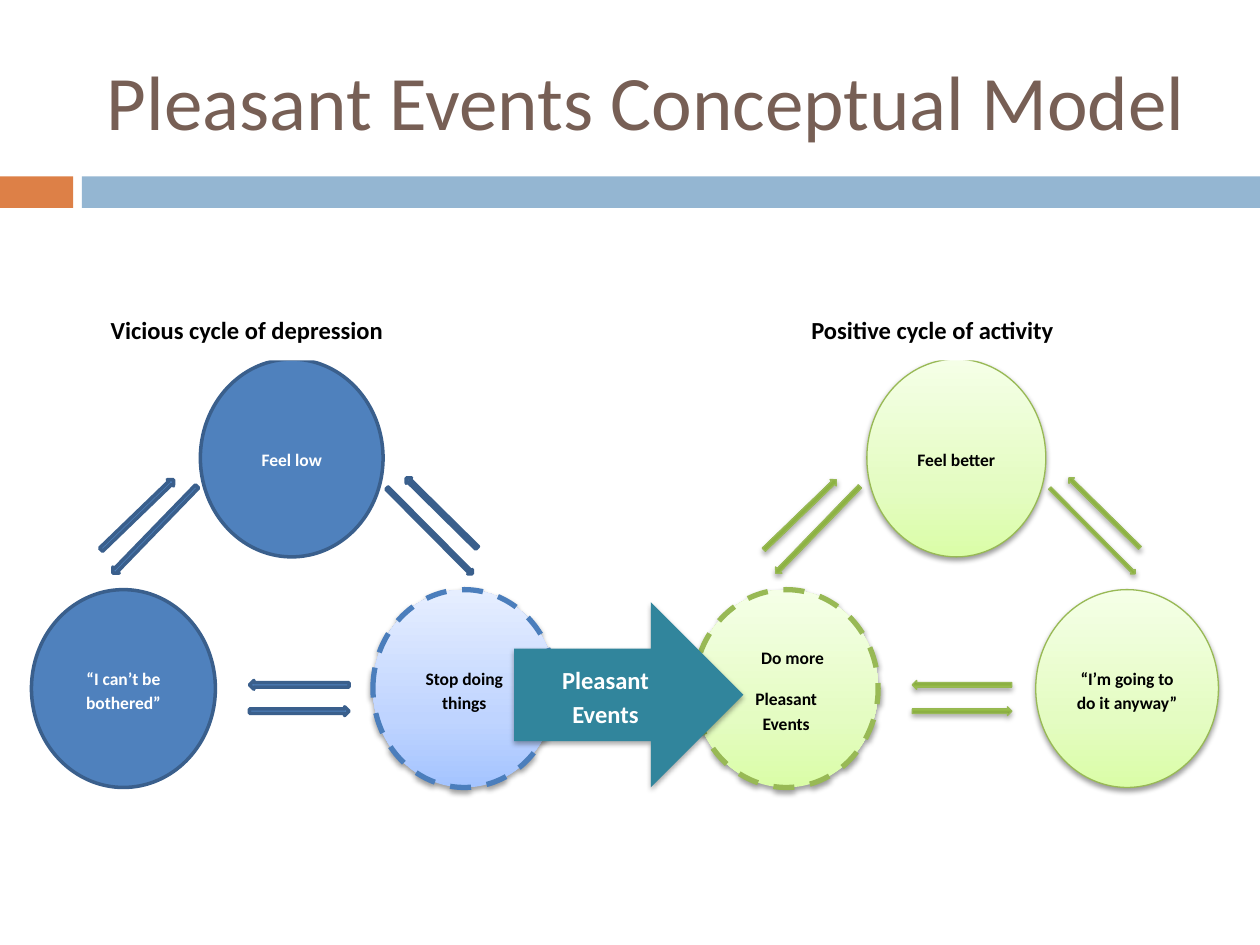
"""Build the Pleasant Events conceptual model slide."""
from dataclasses import dataclass, replace
from typing import NamedTuple, Optional

from lxml.etree import SubElement
from pptx import Presentation
from pptx.dml.color import RGBColor
from pptx.enum.dml import MSO_LINE
from pptx.enum.shapes import MSO_SHAPE
from pptx.enum.text import MSO_ANCHOR, PP_ALIGN
from pptx.oxml.ns import qn
from pptx.util import Inches, Pt

FONT = "Calibri"
BLACK = RGBColor(0x00, 0x00, 0x00)
WHITE = RGBColor(0xFF, 0xFF, 0xFF)
BROWN = RGBColor(0x77, 0x5F, 0x55)
ORANGE = RGBColor(0xDD, 0x80, 0x47)
PALE_BLUE = RGBColor(0x94, 0xB6, 0xD2)
BLUE = RGBColor(0x4F, 0x81, 0xBD)
DARK_BLUE = RGBColor(0x3A, 0x5F, 0x8C)
DASH_BLUE = RGBColor(0x4B, 0x7E, 0xBC)
GREEN = RGBColor(0x98, 0xB9, 0x55)
TEAL = RGBColor(0x31, 0x85, 0x9C)
SKY_STOPS = ((0, RGBColor(0xA4, 0xC4, 0xFF)), (35, RGBColor(0xBF, 0xD4, 0xFF)),
             (100, RGBColor(0xE6, 0xEE, 0xFF)))
LIME_STOPS = ((0, RGBColor(0xDA, 0xFD, 0xA7)), (35, RGBColor(0xE4, 0xFC, 0xC2)),
              (100, RGBColor(0xF5, 0xFF, 0xE7)))
LEAF_STOPS = ((0, RGBColor(0x77, 0x97, 0x37)), (80, RGBColor(0x9B, 0xC3, 0x48)),
              (100, RGBColor(0x9D, 0xC7, 0x46)))


@dataclass(frozen=True)
class Look:
    fill: Optional[RGBColor] = None
    stops: tuple = ()
    line: Optional[RGBColor] = None
    line_width: float = 0
    dashed: bool = False
    shadow_alpha: int = 0
    text_color: RGBColor = BLACK


class Box(NamedTuple):
    left: float
    top: float
    width: float
    height: float


class Circle(NamedTuple):
    box: Box
    text: str
    look: Look


class Arrow(NamedTuple):
    box: Box
    rotation: float


class Cycle(NamedTuple):
    heading: str
    heading_box: Box
    circles: tuple
    arrow_look: Look
    shift: float


LOW = Look(fill=BLUE, line=DARK_BLUE, line_width=2, text_color=WHITE)
STOPPED = Look(stops=SKY_STOPS, line=DASH_BLUE, line_width=3, dashed=True, shadow_alpha=38)
BETTER = Look(stops=LIME_STOPS, line=GREEN, line_width=0.75, shadow_alpha=38)
STARTED = replace(BETTER, line_width=3, dashed=True)
LEAF = replace(BETTER, stops=LEAF_STOPS, shadow_alpha=35)
BRIDGE = Look(fill=TEAL, shadow_alpha=35, text_color=WHITE)

ARROWS = (
    Arrow(Box(1.98, 5.61, 0.79, 0.07), 0),
    Arrow(Box(0.69, 4.05, 0.8, 0.07), 316),
    Arrow(Box(1.98, 5.4, 0.79, 0.07), 180),
    Arrow(Box(0.75, 4.17, 0.96, 0.07), 134.1),
    Arrow(Box(2.93, 4.19, 0.96, 0.05), 45.2),
    Arrow(Box(3.11, 4.04, 0.79, 0.06), 224.6),
)
CYCLES = (
    Cycle("Vicious cycle of depression", Box(0.78, 2.42, 3.28, 0.44), (
        Circle(Box(1.59, 2.85, 1.45, 1.57), "Feel low", LOW),
        Circle(Box(2.96, 4.68, 1.45, 1.57), "Stop doing things", STOPPED),
        Circle(Box(0.25, 4.68, 1.46, 1.57), "“I can’t be bothered”", LOW),
    ), LOW, 0),
    Cycle("Positive cycle of activity", Box(6.34, 2.42, 3.01, 0.44), (
        Circle(Box(6.88, 2.85, 1.42, 1.57), "Feel better", BETTER),
        Circle(Box(8.22, 4.68, 1.45, 1.57), "“I’m going to do it anyway”", BETTER),
        Circle(Box(5.51, 4.68, 1.46, 1.57), "Do more\nPleasant Events", STARTED),
    ), LEAF, 5.26),
)


def apply_gradient(shape, stops: tuple) -> None:
    shape.fill.gradient()
    shape.fill.gradient_angle = 90
    stop_list = shape.element.spPr.find(qn("a:gradFill")).find(qn("a:gsLst"))
    for stop in list(stop_list):
        stop_list.remove(stop)
    for position, color in stops:
        stop = SubElement(stop_list, qn("a:gs"), pos=str(position * 1000))
        SubElement(stop, qn("a:srgbClr"), val=str(color))


def add_shadow(shape, alpha: int) -> None:
    effects = shape.element.spPr.find(qn("a:effectLst"))
    shadow = SubElement(effects, qn("a:outerShdw"), blurRad=str(Pt(3.1)),
                        dist=str(Pt(1.7)), dir="5400000", rotWithShape="0")
    color = SubElement(shadow, qn("a:srgbClr"), val=str(BLACK))
    SubElement(color, qn("a:alpha"), val=str(alpha * 1000))


def add_shape(slide, kind: MSO_SHAPE, box: Box, look: Look):
    shape = slide.shapes.add_shape(kind, *map(Inches, box))
    shape.shadow.inherit = False
    if look.stops:
        apply_gradient(shape, look.stops)
    else:
        shape.fill.solid()
        shape.fill.fore_color.rgb = look.fill
    if look.line:
        shape.line.color.rgb = look.line
        shape.line.width = Pt(look.line_width)
        if look.dashed:
            shape.line.dash_style = MSO_LINE.DASH
    else:
        shape.line.fill.background()
    if look.shadow_alpha:
        add_shadow(shape, look.shadow_alpha)
    return shape


def write_text(shape, text: str, size: float, color: RGBColor, bold: bool = True,
               alignment: PP_ALIGN = PP_ALIGN.CENTER,
               anchor: MSO_ANCHOR = MSO_ANCHOR.MIDDLE) -> None:
    frame = shape.text_frame
    frame.text = text
    frame.word_wrap = True
    frame.vertical_anchor = anchor
    for paragraph in frame.paragraphs:
        paragraph.alignment = alignment
        if bold:
            paragraph.line_spacing = 1.15
            paragraph.space_after = Pt(10)
        for run in paragraph.runs:
            run.font.name = FONT
            run.font.size = Pt(size)
            run.font.bold = bold
            run.font.color.rgb = color


def add_cycle(slide, cycle: Cycle) -> None:
    for circle in cycle.circles:
        shape = add_shape(slide, MSO_SHAPE.OVAL, circle.box, circle.look)
        write_text(shape, circle.text, 10, circle.look.text_color)
        paragraphs = shape.text_frame.paragraphs
        if len(paragraphs) > 1:
            paragraphs[0]._p.get_or_add_pPr().set("marL", str(Inches(0.1)))
    for arrow in ARROWS:
        box = arrow.box._replace(left=arrow.box.left + cycle.shift)
        shape = add_shape(slide, MSO_SHAPE.RIGHT_ARROW, box, cycle.arrow_look)
        shape.rotation = arrow.rotation


def main() -> None:
    presentation = Presentation()
    presentation.slide_width, presentation.slide_height = Inches(10), Inches(7.5)
    slide = presentation.slides.add_slide(presentation.slide_layouts[6])
    add_shape(slide, MSO_SHAPE.RECTANGLE, Box(0, 1.4, 0.58, 0.25), Look(fill=ORANGE))
    add_shape(slide, MSO_SHAPE.RECTANGLE, Box(0.65, 1.4, 9.35, 0.25), Look(fill=PALE_BLUE))
    title = slide.shapes.add_textbox(*map(Inches, Box(0.67, 0.25, 8.92, 1.08)))
    write_text(title, "Pleasant Events Conceptual Model", 44, BROWN, bold=False)
    for cycle in CYCLES:
        add_cycle(slide, cycle)
    bridge = add_shape(slide, MSO_SHAPE.RIGHT_ARROW, Box(4.08, 4.78, 1.82, 1.47), BRIDGE)
    write_text(bridge, "Pleasant Events", 14, BRIDGE.text_color)
    for cycle in CYCLES:
        heading = add_shape(slide, MSO_SHAPE.RECTANGLE, cycle.heading_box, Look(fill=WHITE))
        write_text(heading, cycle.heading, 14, BLACK,
                   alignment=PP_ALIGN.LEFT, anchor=MSO_ANCHOR.TOP)
    presentation.save("out.pptx")


if __name__ == "__main__":
    main()
